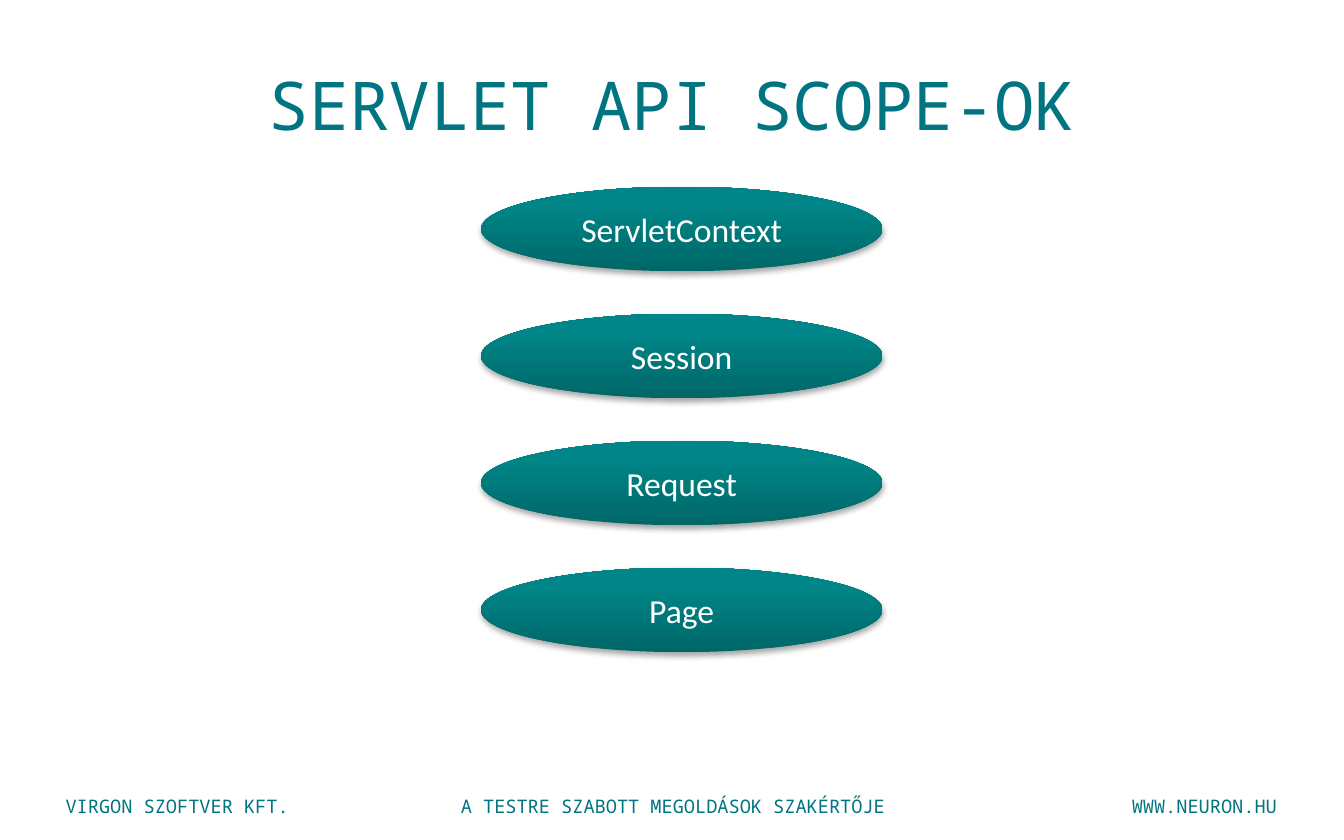
from pptx import Presentation
from pptx.dml.color import RGBColor
from pptx.enum.shapes import MSO_SHAPE
from pptx.enum.text import MSO_ANCHOR, PP_ALIGN
from pptx.oxml import parse_xml
from pptx.util import Cm, Pt

TEAL = RGBColor(0x00, 0x74, 0x80)
DARK_TEAL = RGBColor(0x00, 0x67, 0x68)
LIGHT_TEAL = RGBColor(0x00, 0x86, 0x88)
WHITE = RGBColor(0xFF, 0xFF, 0xFF)

OVAL = MSO_SHAPE.OVAL
MIDDLE = MSO_ANCHOR.MIDDLE
LEFT, CENTER, RIGHT = PP_ALIGN.LEFT, PP_ALIGN.CENTER, PP_ALIGN.RIGHT

SOFT_SHADOW = (
    '<a:outerShdw xmlns:a="http://schemas.openxmlformats.org/drawingml/2006/main"'
    ' blurRad="40000" dist="23000" dir="5400000" rotWithShape="0">'
    '<a:srgbClr val="000000"><a:alpha val="35000"/></a:srgbClr></a:outerShdw>'
)

SCOPES = ("ServletContext", "Session", "Request", "Page")
FOOTERS = (
    ("VIRGON SZOFTVER KFT.", 0.99, 5.99, LEFT),
    ("WWW.NEURON.HU", 18.39, 5.99, RIGHT),
    ("A TESTRE SZABOTT MEGOLDÁSOK SZAKÉRTŐJE", 8.41, 8.61, CENTER),
)


class ScopeSlide:
    title_format = {"name": "Noto Sans Mono", "size": Pt(36)}
    footer_format = {"name": "Noto Sans Mono", "size": Pt(10)}
    scope_format = {"name": "Calibri", "size": Pt(18)}

    def __init__(self, deck):
        self.page = deck.slides.add_slide(deck.slide_layouts[5])

    def label(self, box, text, style, color, align):
        box.text_frame.word_wrap = True
        para = box.text_frame.paragraphs[0]
        para.alignment = align
        span = para.add_run()
        span.text = text
        for name, value in style.items():
            setattr(span.font, name, value)
        span.font.color.rgb = color

    def title(self, text):
        box = self.page.shapes.title
        place = {"left": 1.27, "top": 0.64, "width": 22.86, "height": 2.64}
        for name, value in place.items():
            setattr(box, name, Cm(value))
        box.text_frame.vertical_anchor = MIDDLE
        self.label(box, text, self.title_format, TEAL, CENTER)

    def footer(self, text, left, width, align):
        box = self.page.shapes.add_textbox(Cm(left), Cm(14.91), Cm(width), Cm(0.69))
        self.label(box, text, self.footer_format, TEAL, align)

    def scope(self, text, top):
        oval = self.page.shapes.add_shape(OVAL, Cm(9.09), Cm(top), Cm(7.59), Cm(1.6))
        oval.fill.gradient()
        oval.fill.gradient_angle = 90
        colors = ((0, DARK_TEAL), (0.8, LIGHT_TEAL))
        for stop, (position, color) in zip(oval.fill.gradient_stops, colors):
            stop.position = position
            stop.color.rgb = color
        oval.line.fill.background()
        oval.shadow.inherit = False
        effects = oval.element.spPr.find("{*}effectLst")
        effects.append(parse_xml(SOFT_SHADOW))
        oval.text_frame.vertical_anchor = MIDDLE
        self.label(oval, text, self.scope_format, WHITE, CENTER)


def main():
    deck = Presentation()
    deck.slide_width, deck.slide_height = Cm(25.4), Cm(15.88)
    slide = ScopeSlide(deck)
    for footer in FOOTERS:
        slide.footer(*footer)
    slide.title("SERVLET API SCOPE-OK")
    for row, scope in enumerate(SCOPES):
        slide.scope(scope, 3.53 + 2.4 * row)
    deck.save("out.pptx")


if __name__ == "__main__":
    main()
